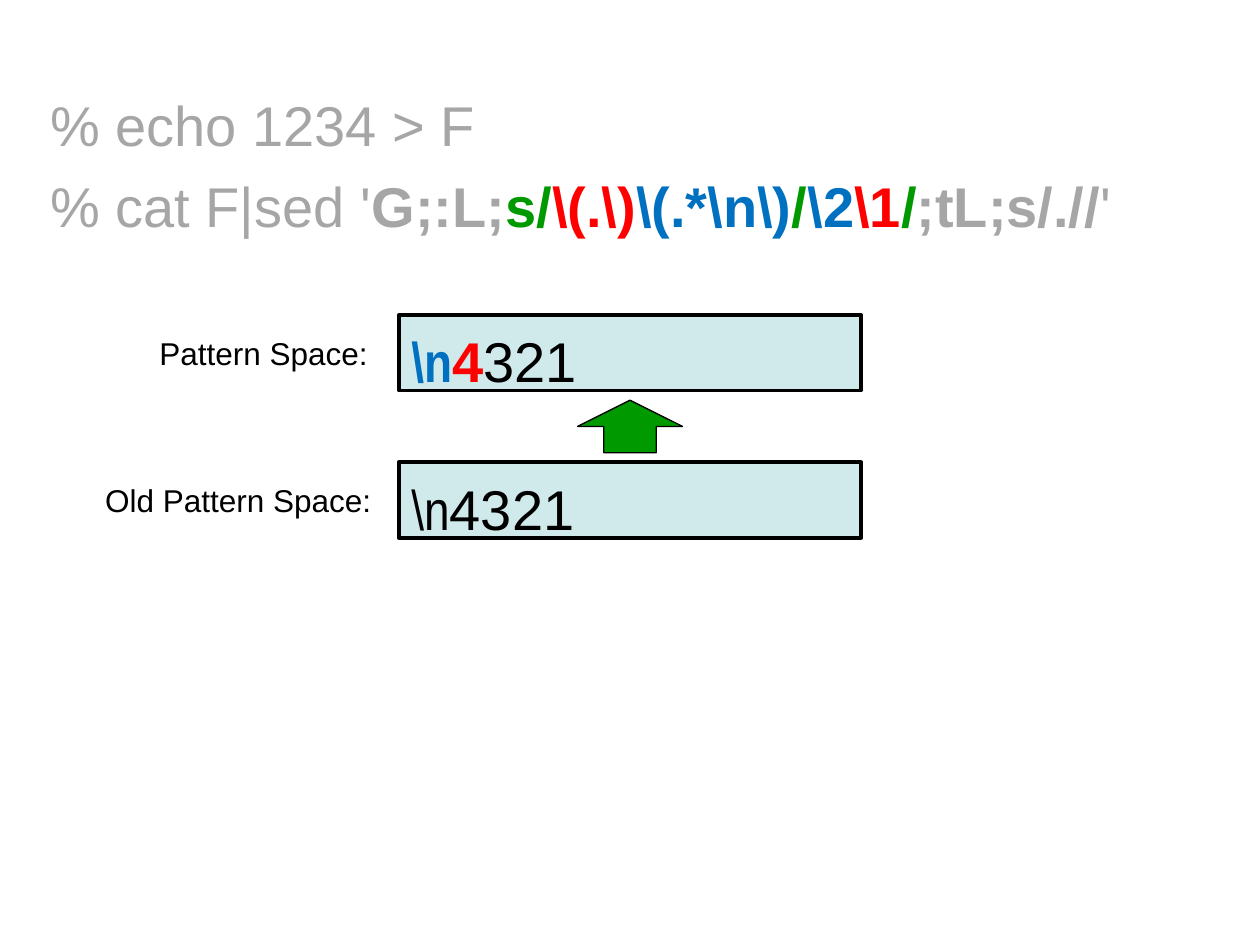
from pptx import Presentation
from pptx.dml.color import RGBColor
from pptx.enum.shapes import MSO_SHAPE
from pptx.enum.text import MSO_ANCHOR, PP_ALIGN
from pptx.util import Pt

BLACK, GRAY, GREEN, RED, BLUE = "000000", "A6A6A6", "009900", "FF0000", "0070C0"
PALE = "D0EAEC"
SANS, THIN = "Arial", "Arial Narrow"

# Runs: text, colour, bold, font
COMMANDS = [
    [("% echo 1234 > F", GRAY, False, SANS)],
    [
        ("% cat F|sed '", GRAY, False, SANS),
        ("G;:L;", GRAY, True, SANS),
        ("s/", GREEN, True, SANS),
        (r"\(.\)", RED, True, SANS),
        (r"\(.*\n\)", BLUE, True, SANS),
        ("/", GREEN, True, SANS),
        (r"\2", BLUE, True, SANS),
        (r"\1", RED, True, SANS),
        ("/", GREEN, True, SANS),
        (";tL;s/.//", GRAY, True, SANS),
        ("'", GRAY, False, SANS),
    ],
]

# Spaces: label, label left, runs
SPACES = [
    ("Pattern Space:", 84, [
        (r"\n", BLUE, True, THIN),
        ("4", RED, True, SANS),
        ("321", BLACK, False, SANS),
    ]),
    ("Old Pattern Space:", 53, [
        (r"\n", BLACK, False, THIN),
        ("4321", BLACK, False, SANS),
    ]),
]

LEFT, TOP, WIDE, HIGH, STEP = 228, 180, 264, 43.2, 84.2
ARROW_WIDE, ARROW_HIGH = 60, 30


def color(code):
    return RGBColor.from_string(code)


def write(para, runs, size):
    para.alignment = PP_ALIGN.LEFT
    for text, code, bold, face in runs:
        run = para.add_run()
        run.text = text
        font = run.font
        font.size, font.bold, font.name = Pt(size), bold, face
        font.color.rgb = color(code)


def add_text(slide, left, top, wide, high):
    frame = slide.shapes.add_textbox(Pt(left), Pt(top), Pt(wide), Pt(high)).text_frame
    frame.word_wrap = True
    return frame


def add_solid(slide, kind, left, top, wide, high, fill, weight):
    shape = slide.shapes.add_shape(kind, Pt(left), Pt(top), Pt(wide), Pt(high))
    shape.shadow.inherit = False
    shape.fill.solid()
    shape.fill.fore_color.rgb = color(fill)
    shape.line.color.rgb = color(BLACK)
    shape.line.width = Pt(weight)
    return shape


def main():
    deck = Presentation()
    deck.slide_width, deck.slide_height = Pt(720), Pt(540)
    slide = deck.slides.add_slide(deck.slide_layouts[6])

    frame = add_text(slide, 21.6, 48, 690, 90)
    for i, runs in enumerate(COMMANDS):
        para = frame.add_paragraph() if i else frame.paragraphs[0]
        if i:
            para.space_before = Pt(8)
        write(para, runs, 32)

    for i, (label, left, runs) in enumerate(SPACES):
        top = TOP + i * STEP
        frame = add_text(slide, left, top + 6.5, 240 - left, 30)
        frame.vertical_anchor = MSO_ANCHOR.MIDDLE
        write(frame.paragraphs[0], [(label, BLACK, False, SANS)], 18)

        box = add_solid(slide, MSO_SHAPE.RECTANGLE, LEFT, top, WIDE, HIGH, PALE, 2.25)
        frame = box.text_frame
        frame.vertical_anchor = MSO_ANCHOR.TOP
        frame.margin_top, frame.margin_bottom = Pt(6.8), Pt(0)
        write(frame.paragraphs[0], runs, 32)

    gap = STEP - HIGH
    add_solid(slide, MSO_SHAPE.UP_ARROW, LEFT + (WIDE - ARROW_WIDE) / 2,
              TOP + HIGH + (gap - ARROW_HIGH) / 2, ARROW_WIDE, ARROW_HIGH, GREEN, 0.75)
    deck.save("out.pptx")


if __name__ == "__main__":
    main()
